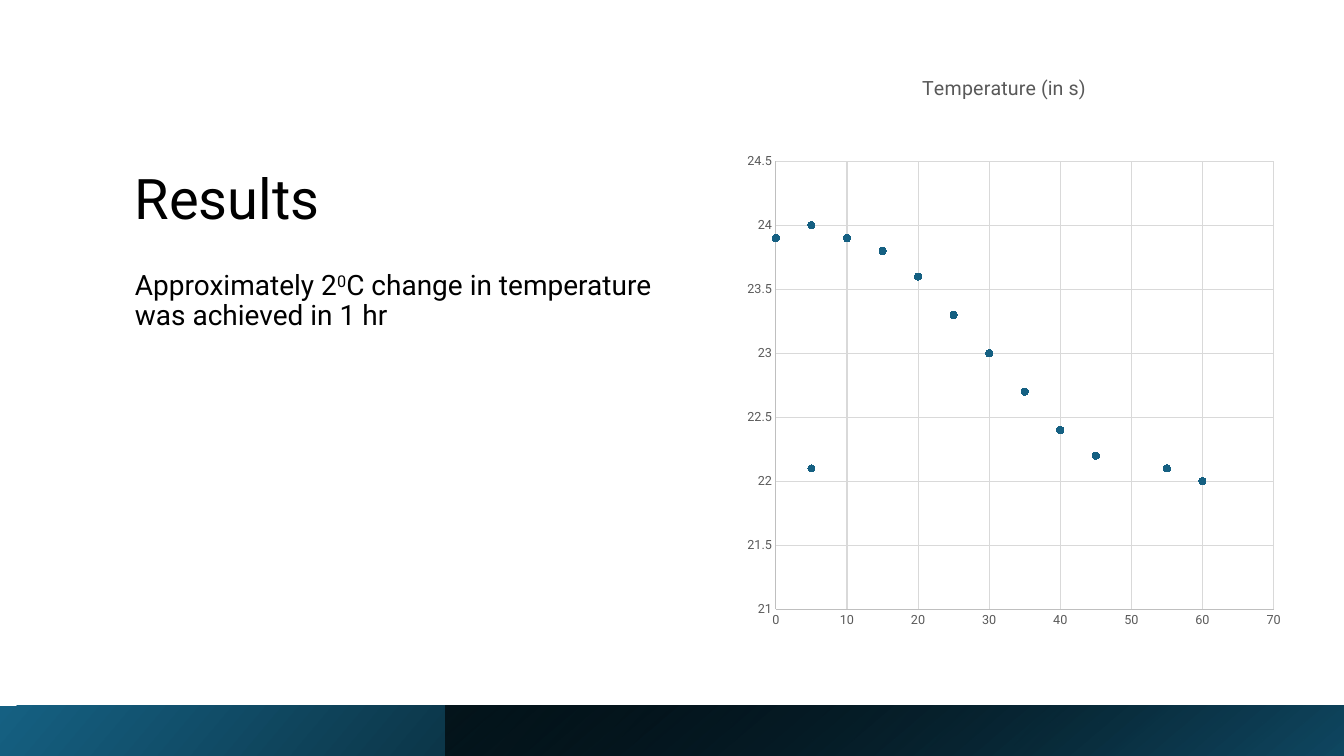
from lxml import etree
from pptx import Presentation
from pptx import util as u
from pptx.chart.data import XyChartData
from pptx.dml.color import RGBColor
from pptx.enum import chart as ch, shapes, text
from pptx.oxml.ns import qn

FONT = "Roboto"
COLOURS = {"ink": "000000", "label": "595959", "axis": "BFBFBF", "grid": "D9D9D9",
           "blue": "156082", "deep": "104862"}

HEADING = [("Results", False)]
FINDING = [("Approximately 2", False), ("0", True),
           ("C change in temperature was achieved in 1 hr", False)]
CHART_TITLE = "Temperature (in s)"
READINGS = [(0, 23.9), (5, 24), (10, 23.9), (15, 23.8), (20, 23.6), (25, 23.3), (30, 23),
            (35, 22.7), (40, 22.4), (45, 22.2), (5, 22.1), (55, 22.1), (60, 22)]
PLOT_AREA = {"x": 0.102, "y": 0.179, "w": 0.868, "h": 0.743}

# Lengths in cm
SLIDE_W, SLIDE_H = 33.87, 19.05
BAND_H = 1.27
OVERLAY_LEFT = 11.23
TEXT_LEFT, TEXT_W = 3.15, 13.77


def rgb(name):
    return RGBColor.from_string(COLOURS[name])


def style_font(font, size, colour):
    font.name, font.size, font.bold = FONT, u.Pt(size), False
    font.color.rgb = rgb(colour)


def add_text(slide, runs, top, height, size, anchor=text.MSO_ANCHOR.TOP, before=0):
    """Add a left-column paragraph from (words, is_superscript) runs."""
    box = slide.shapes.add_textbox(u.Cm(TEXT_LEFT), u.Cm(top), u.Cm(TEXT_W), u.Cm(height))
    frame = box.text_frame
    frame.word_wrap, frame.vertical_anchor = True, anchor
    paragraph = frame.paragraphs[0]
    paragraph.line_spacing, paragraph.space_before = 0.9, u.Pt(before)
    for words, superscript in runs:
        run = paragraph.add_run()
        run.text = words
        style_font(run.font, size, "ink")
        if superscript:
            run.font._element.set("baseline", "30000")


def add_band(slide, left, stops, angle):
    """Add a footer band reaching the right edge; stops are (position, colour, opacity)."""
    band = slide.shapes.add_shape(shapes.MSO_SHAPE.RECTANGLE, u.Cm(left), u.Cm(SLIDE_H - BAND_H),
                                  u.Cm(SLIDE_W - left), u.Cm(BAND_H))
    band.shadow.inherit = False
    band.line.fill.background()
    band.fill.gradient()
    band.fill.gradient_angle = angle
    for stop, (position, colour, _) in zip(band.fill.gradient_stops, stops):
        stop.position, stop.color.rgb = position, rgb(colour)
    for element, (_, _, opacity) in zip(band._element.iter(qn("a:srgbClr")), stops):
        if opacity < 1:
            etree.SubElement(element, qn("a:alpha"), val=str(round(opacity * 100000)))


def style_axis(axis, low, high, step):
    axis.minimum_scale, axis.maximum_scale, axis.major_unit = low, high, step
    axis.major_tick_mark = axis.minor_tick_mark = ch.XL_TICK_MARK.NONE
    axis.has_major_gridlines = True
    for line, colour in ((axis.format.line, "axis"), (axis.major_gridlines.format.line, "grid")):
        line.color.rgb, line.width = rgb(colour), u.Pt(0.75)
    style_font(axis.tick_labels.font, 9, "label")
    axis.tick_labels.number_format = "General"
    axis.tick_labels.number_format_is_linked = False


def place_plot(chart):
    """Fix the inner plot area as fractions of the chart."""
    plot_area = chart._chartSpace.chart.plotArea
    for old in plot_area.findall(qn("c:layout")):
        plot_area.remove(old)
    layout = etree.Element(qn("c:layout"))
    plot_area.insert(0, layout)
    manual = etree.SubElement(layout, qn("c:manualLayout"))
    settings = {"layoutTarget": "inner", "xMode": "edge", "yMode": "edge", **PLOT_AREA}
    for tag, value in settings.items():
        etree.SubElement(manual, qn(f"c:{tag}"), val=str(value))


def add_temperature_chart(slide):
    data = XyChartData()
    temperatures = data.add_series(CHART_TITLE)
    for minute, temperature in READINGS:
        temperatures.add_data_point(minute, temperature)
    chart = slide.shapes.add_chart(ch.XL_CHART_TYPE.XY_SCATTER, u.Cm(18.08), u.Cm(1.35),
                                   u.Cm(14.45), u.Cm(15.19), data).chart
    style_font(chart.font, 10, "ink")
    chart.has_legend = False
    chart.has_title = True
    title = chart.chart_title.text_frame.paragraphs[0].add_run()
    title.text = CHART_TITLE
    style_font(title.font, 14, "label")
    style_axis(chart.category_axis, 0, 70, 10)
    style_axis(chart.value_axis, 21, 24.5, 0.5)
    place_plot(chart)

    chart.plots[0].vary_by_categories = False
    series = chart.plots[0].series[0]
    series.smooth = False
    series.format.line.fill.background()
    marker = series.marker
    marker.style, marker.size = ch.XL_MARKER_STYLE.CIRCLE, 5
    marker.format.fill.solid()
    marker.format.fill.fore_color.rgb = rgb("blue")
    marker.format.line.color.rgb = rgb("blue")


def main():
    deck = Presentation()
    deck.slide_width, deck.slide_height = u.Cm(SLIDE_W), u.Cm(SLIDE_H)
    slide = deck.slides.add_slide(deck.slide_layouts[6])
    add_text(slide, HEADING, 1.4, 4.57, 40, anchor=text.MSO_ANCHOR.BOTTOM)
    add_text(slide, FINDING, 6.71, 9.78, 20, before=10)
    add_band(slide, 0, [(0, "blue", 1), (0.78, "ink", 1)], 320)
    add_band(slide, OVERLAY_LEFT, [(0, "ink", 0.63), (1, "deep", 1)], 310)
    add_temperature_chart(slide)
    deck.save("out.pptx")


if __name__ == "__main__":
    main()
